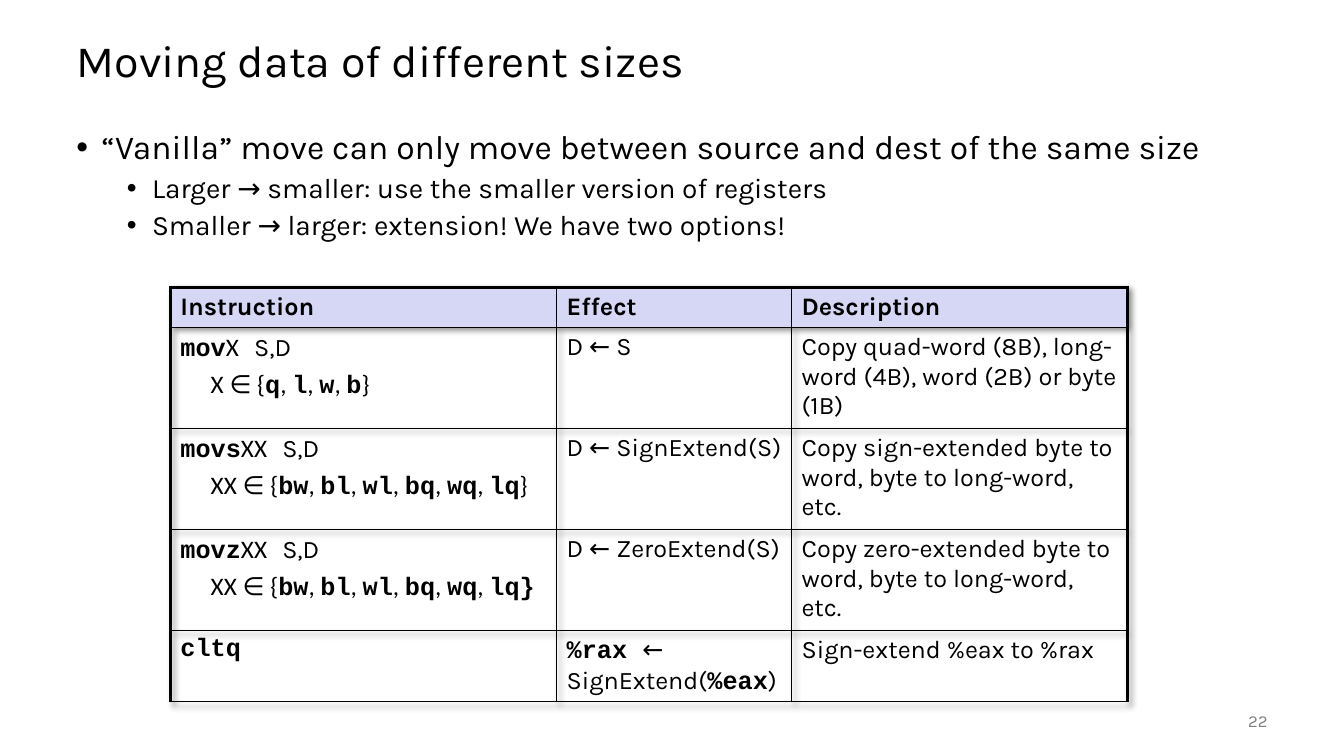
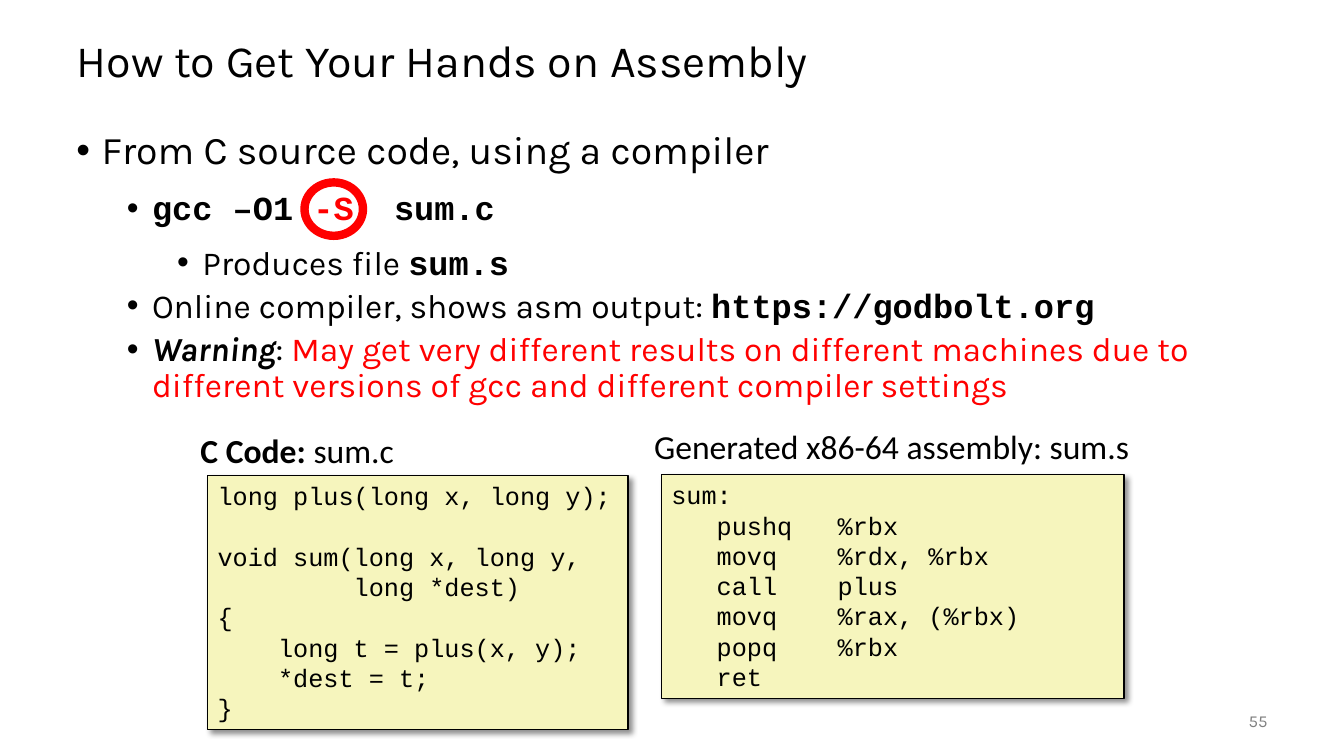
from dataclasses import dataclass
from typing import NamedTuple, Optional, Sequence

from lxml import etree
from pptx import Presentation
from pptx.dml.color import RGBColor
from pptx.enum import shapes, text
from pptx.oxml import ns
from pptx.util import Inches, Length, Pt


@dataclass(frozen=True)
class Theme:
    black: str = "000000"
    red: str = "FF0000"
    grey: str = "808080"
    header: str = "D6D6F5"
    code_fill: str = "F6F5BD"
    sans: str = "Karla"
    label: str = "Calibri"
    mono: str = "Courier New"
    title_size: int = 32
    lead_size: int = 28
    body_size: int = 24
    sub_size: int = 20
    small_size: int = 18
    number_size: int = 12
    thin: float = 1
    thick: float = 2.25


T = Theme()


class Run(NamedTuple):
    text: str
    font: str = T.sans
    bold: bool = False
    color: str = T.black
    italic: bool = False


class Para(NamedTuple):
    runs: Sequence[Run]
    size: int = T.small_size
    before: float = 0
    level: Optional[int] = None
    indent: float = 0


class Box(NamedTuple):
    left: float
    top: float
    width: float
    height: float

    def lengths(self) -> list[Length]:
        return [Inches(v) for v in self]


class CodePanel(NamedTuple):
    box: Box
    label_box: Box
    label: Sequence[Run]
    code: str


def code(s: str, color: str = T.black) -> Run:
    return Run(s, T.mono, True, color)


def plain(s: str) -> Run:
    return Run(s, T.label)


def style(font, size: float, name: str, color: str = T.black) -> None:
    font.size, font.name = Pt(size), name
    font.color.rgb = RGBColor.from_string(color)


def sub(parent, tag: str, **attrs):
    return etree.SubElement(parent, ns.qn(tag), {k: str(v) for k, v in attrs.items()})


def add_shadow(parent) -> None:
    effects = sub(parent, "a:effectLst")
    shadow = sub(effects, "a:outerShdw", blurRad=Pt(4), dist=Pt(3), dir=45 * 60000,
                 algn="tl", rotWithShape=0)
    sub(sub(shadow, "a:srgbClr", val=T.black), "a:alpha", val=43000)


def fill_text(tf, paras: Sequence[Para]) -> None:
    for i, para in enumerate(paras):
        p = tf.paragraphs[0] if i == 0 else tf.add_paragraph()
        pPr = p._p.get_or_add_pPr()
        if para.level is not None:
            pPr.set("marL", str(Inches(0.25 + 0.5 * para.level)))
            pPr.set("indent", str(Inches(-0.25)))
            sub(pPr, "a:buFont", typeface="Arial")
            sub(pPr, "a:buChar", char="•")
            p.line_spacing = 0.9
        elif para.indent:
            pPr.set("marL", str(Inches(para.indent)))
        if i:
            p.space_before = Pt(para.before)
        for run in para.runs:
            r = p.add_run()
            r.text = run.text
            style(r.font, para.size, run.font, run.color)
            r.font.bold, r.font.italic = run.bold, run.italic


def add_text(s, box: Box, paras: Sequence[Para], wrap: bool = True):
    tf = s.shapes.add_textbox(*box.lengths()).text_frame
    tf.word_wrap = wrap
    fill_text(tf, paras)
    return tf


def add_slide(prs, title: str, number: int):
    s = prs.slides.add_slide(prs.slide_layouts[5])
    sp = s.shapes.title
    sp.left, sp.top, sp.width, sp.height = Box(0.66, 0.25, 12, 0.75).lengths()
    tf = sp.text_frame
    tf.text = title
    tf.vertical_anchor = text.MSO_ANCHOR.MIDDLE
    tf.auto_size = text.MSO_AUTO_SIZE.NONE
    p = tf.paragraphs[0]
    p.alignment, p.line_spacing = text.PP_ALIGN.LEFT, 0.9
    style(p.runs[0].font, T.title_size, T.sans)
    tf = add_text(s, Box(11.67, 6.95, 1, 0.4),
                  [Para([Run(str(number), color=T.grey)], T.number_size)])
    tf.vertical_anchor = text.MSO_ANCHOR.MIDDLE
    tf.paragraphs[0].alignment = text.PP_ALIGN.RIGHT
    return s


def move_form(op: str, var: str, suffixes: str, close: Run = plain("}")) -> list[Para]:
    members = [plain(" {")]
    for i, suffix in enumerate(suffixes.split()):
        members += [plain(", ")] * (i > 0) + [code(suffix)]
    return [
        Para([code(op), plain(var), Run(" ", T.mono), Run("S,D")]),
        Para([plain(var + " "), Run("∈"), *members, close], before=4, indent=0.3),
    ]


def line(s: str, bold: bool = False) -> list[Para]:
    return [Para([Run(s, bold=bold)])]


def set_borders(cell, widths: dict[str, float]) -> None:
    tcPr = cell._tc.get_or_add_tcPr()
    for i, (side, width) in enumerate(widths.items()):
        ln = etree.Element(ns.qn(f"a:ln{side}"), {"w": str(Pt(width))})
        sub(sub(ln, "a:solidFill"), "a:srgbClr", val=T.black)
        tcPr.insert(i, ln)


def add_grid(s, left: float, top: float, cols: Sequence[float], heights: Sequence[float],
             rows: Sequence[Sequence[Sequence[Para]]]) -> None:
    box = Box(left, top, sum(cols), sum(heights))
    table = s.shapes.add_table(len(rows), len(cols), *box.lengths()).table
    table.first_row = table.horz_banding = False
    add_shadow(table._tbl.tblPr)
    style_id = table._tbl.tblPr.find(ns.qn("a:tableStyleId"))
    if style_id is not None:
        table._tbl.tblPr.append(style_id)
    for column, width in zip(table.columns, cols):
        column.width = Inches(width)
    for r, (row, height) in enumerate(zip(rows, heights)):
        table.rows[r].height = Inches(height)
        for c, paras in enumerate(row):
            cell = table.cell(r, c)
            fill_text(cell.text_frame, paras)
            if r == 0:
                cell.fill.solid()
                cell.fill.fore_color.rgb = RGBColor.from_string(T.header)
            else:
                cell.fill.background()
            set_borders(cell, {
                "L": T.thick if c == 0 else T.thin,
                "R": T.thick if c == len(cols) - 1 else T.thin,
                "T": T.thick if r == 0 else T.thin,
                "B": T.thin,
            })


def add_code_panel(s, panel: CodePanel) -> None:
    add_text(s, panel.label_box, [Para(panel.label, T.body_size)], wrap=False)
    sp = s.shapes.add_shape(shapes.MSO_SHAPE.RECTANGLE, *panel.box.lengths())
    sp.fill.solid()
    sp.fill.fore_color.rgb = RGBColor.from_string(T.code_fill)
    sp.line.color.rgb = RGBColor.from_string(T.black)
    sp.line.width = Pt(T.thin)
    add_shadow(sp._element.spPr)
    tf = sp.text_frame
    tf.word_wrap = False
    tf.vertical_anchor = text.MSO_ANCHOR.TOP
    tf.text = panel.code
    for p in tf.paragraphs:
        p.alignment = text.PP_ALIGN.LEFT
        p.line_spacing = Pt(21.6)
        style(p.font, T.small_size, T.mono)
        for r in p.runs:
            style(r.font, T.small_size, T.mono)


def build_data_sizes(prs) -> None:
    s = add_slide(prs, "Moving data of different sizes", 22)
    add_text(s, Box(0.66, 1.25, 12, 1.4), [
        Para([Run("“Vanilla” move can only move between source and dest of the same size")],
             T.body_size, level=0),
        Para([Run("Larger → smaller: use the smaller version of registers")],
             T.sub_size, 5, level=1),
        Para([Run("Smaller → larger: extension! We have two options!")],
             T.sub_size, 5, level=1),
    ])
    extensions = "bw bl wl bq wq lq"
    rows = [
        [line(name, bold=True) for name in ("Instruction", "Effect", "Description")],
        [move_form("mov", "X", "q l w b"), line("D ← S"),
         line("Copy quad-word (8B), long-word (4B), word (2B) or byte (1B)")],
        [move_form("movs", "XX", extensions), line("D ← SignExtend(S)"),
         line("Copy sign-extended byte to word, byte to long-word, etc.")],
        [move_form("movz", "XX", extensions, code("}")), line("D ← ZeroExtend(S)"),
         line("Copy zero-extended byte to word, byte to long-word, etc.")],
        [[Para([code("cltq")])],
         [Para([code("%rax "), Run("← SignExtend("), code("%eax"), Run(")")])],
         line("Sign-extend %eax to %rax")],
    ]
    add_grid(s, 1.69, 2.85, [3.83, 2.33, 3.33], [0.39, 0.98, 0.98, 0.98, 0.71], rows)


def build_assembly(prs) -> None:
    s = add_slide(prs, "How to Get Your Hands on Assembly", 55)
    add_text(s, Box(0.66, 1.25, 12, 2.97), [
        Para([Run("From C source code, using a compiler")], T.lead_size, level=0),
        Para([code("gcc –O1 "), code("-S  ", T.red), code("sum.c")], T.body_size, 13, level=1),
        Para([Run("Produces file "), code("sum.s")], T.body_size, 13, level=2),
        Para([Run("Online compiler, shows asm output: "), code("https://godbolt.org")],
             T.body_size, 5, level=1),
        Para([Run("Warning", bold=True, italic=True), Run(": "),
              Run("May get very different results on different machines due to "
                  "different versions of gcc and different compiler settings", color=T.red)],
             T.body_size, 5, level=1),
    ])
    ring = s.shapes.add_shape(shapes.MSO_SHAPE.OVAL, *Box(3.02, 1.81, 0.58, 0.53).lengths())
    ring.shadow.inherit = False
    ring.fill.background()
    ring.line.color.rgb = RGBColor.from_string(T.red)
    ring.line.width = Pt(6)

    c_code = """long plus(long x, long y);

void sum(long x, long y,
         long *dest)
{
    long t = plus(x, y);
    *dest = t;
}"""
    asm_code = """sum:
   pushq   %rbx
   movq    %rdx, %rbx
   call    plus
   movq    %rax, (%rbx)
   popq    %rbx
   ret"""
    for panel in (
        CodePanel(Box(2.06, 4.72, 4.17, 2.52), Box(1.89, 4.22, 4.33, 0.4),
                  [Run("C Code: ", T.label, True), plain("sum.c")], c_code),
        CodePanel(Box(6.56, 4.71, 4.59, 2.22), Box(6.39, 4.18, 5, 0.45),
                  [plain("Generated x86-64 assembly: sum.s")], asm_code),
    ):
        add_code_panel(s, panel)


def main() -> None:
    prs = Presentation()
    prs.slide_width, prs.slide_height = Inches(13.33), Inches(7.5)
    build_data_sizes(prs)
    build_assembly(prs)
    prs.save("out.pptx")


if __name__ == "__main__":
    main()
